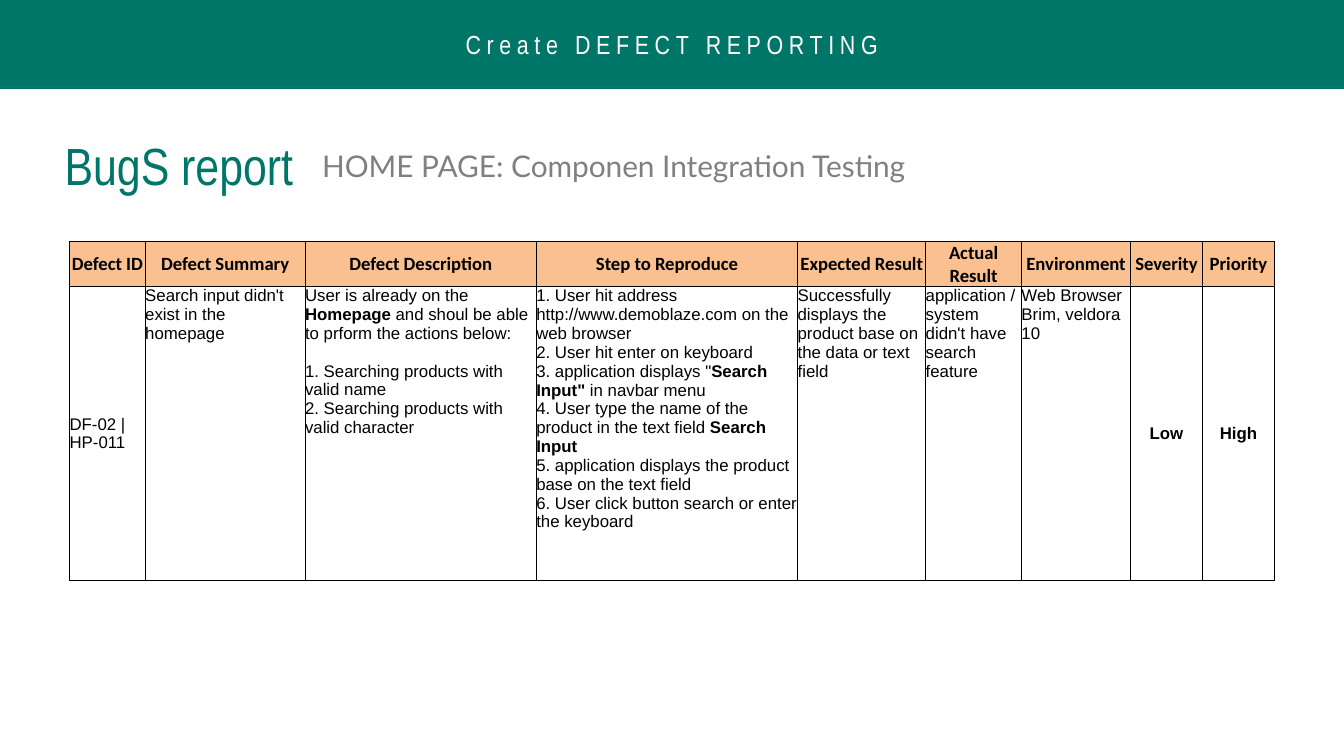
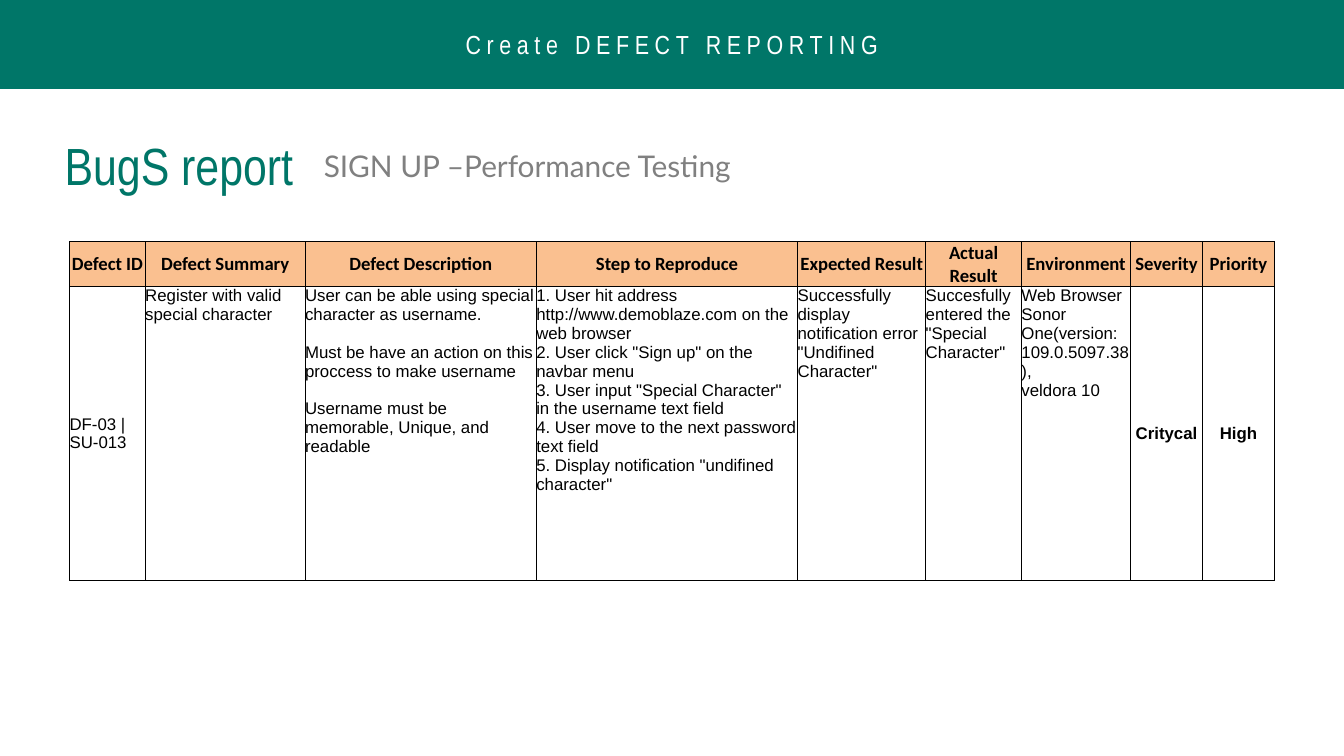
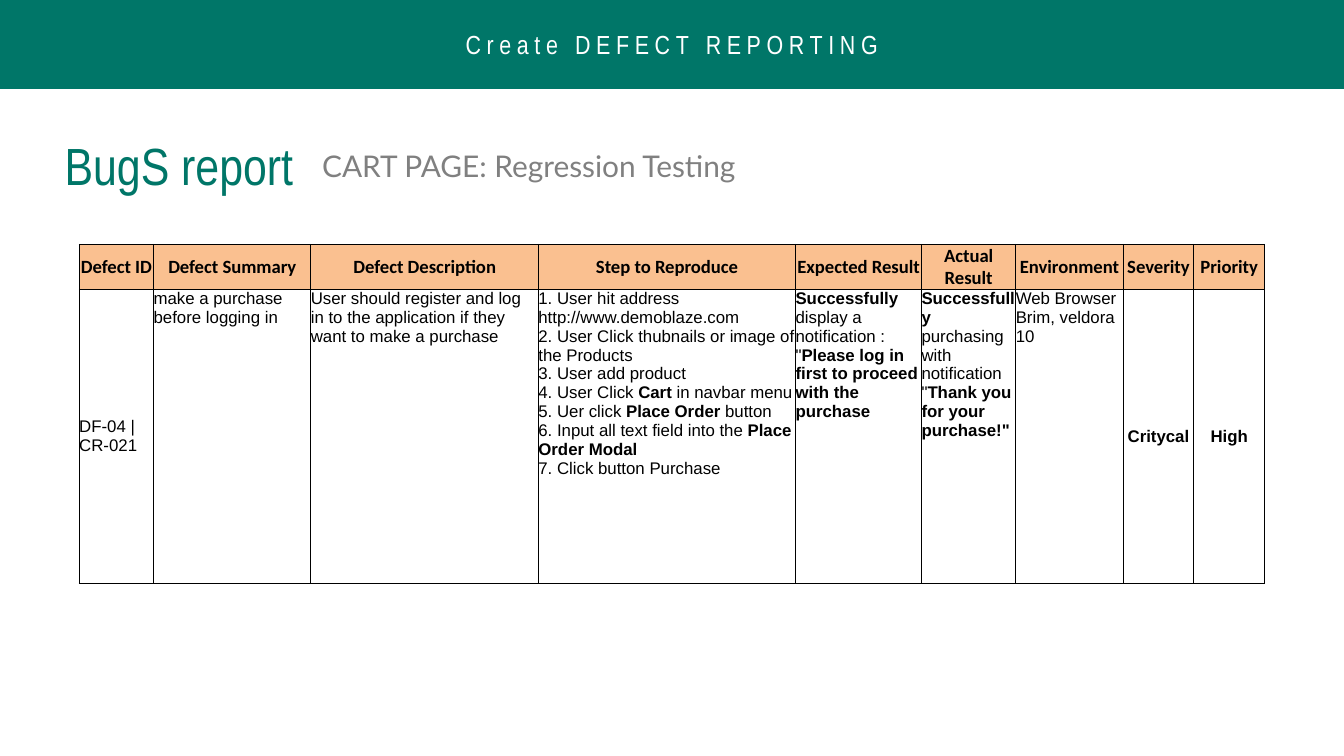
from dataclasses import dataclass

from lxml.etree import SubElement
from pptx import Presentation
from pptx.dml.color import RGBColor
from pptx.enum.shapes import MSO_SHAPE
from pptx.enum.text import MSO_ANCHOR as Anchor, MSO_AUTO_SIZE as AutoSize, PP_ALIGN as Align
from pptx.oxml.ns import qn
from pptx.util import Cm, Pt


@dataclass(frozen=True)
class Theme:
    green: str = "007668"
    peach: str = "FAC090"
    black: str = "000000"
    # Text styles: font, size in points, colour
    band: tuple = ("Arial Narrow", 14, "FFFFFF")
    title: tuple = ("Arial Narrow", 28, "007668")
    subtitle: tuple = ("Lato", 16, "808080")
    header: tuple = ("Calibri", 10, "000000")
    body: tuple = ("Arial", 9, "000000")
    band_spacing: int = 300
    paragraph_gap: int = 10
    border: float = 0.5
    inset: float = 0.25


theme = Theme()

SLIDE_WIDTH, SLIDE_HEIGHT = 25.4, 14.29
HEADERS = ["Defect ID", "Defect Summary", "Defect Description", "Step to Reproduce",
           "Expected Result", "Actual Result", "Environment", "Severity", "Priority"]
COLUMN_WIDTHS = [1.43, 3.02, 4.37, 4.94, 2.42, 1.81, 2.06, 1.36, 1.36]
ROW_HEIGHTS = [0.69, 5.56]
MIDDLE_COLUMNS = {"Defect ID", "Severity", "Priority"}
CENTRED_COLUMNS = {"Severity", "Priority"}

# Double asterisks enclose bold words; an empty line is a gap between paragraphs.
reports = [
    {
        "subtitle": "HOME PAGE: Componen Integration Testing",
        "subtitle_left": 5.84, "subtitle_width": 12.27,
        "table_top": 4.57, "table_scale": 1,
        "defect": [
            "DF-02 | HP-011",
            "Search input didn't exist in the homepage",
            "User is already on the **Homepage** and shoul be able to prform the actions below:\n\n"
            "1. Searching products with valid name\n"
            "2. Searching products with valid character",
            "1. User hit address http://www.demoblaze.com on the web browser\n"
            "2. User hit enter on keyboard\n"
            "3. application displays \"**Search Input\" **in navbar menu\n"
            "4. User type the name of the product in the text field **Search Input**\n"
            "5. application displays the product base on the text field\n"
            "6. User click button search or enter the keyboard",
            "Successfully displays the product base on the data or text field",
            "application / system didn't have search feature",
            "Web Browser Brim, veldora 10",
            "**Low**",
            "**High**",
        ],
    },
    {
        "subtitle": "SIGN UP –Performance Testing",
        "subtitle_left": 5.87, "subtitle_width": 12.12,
        "table_top": 4.57, "table_scale": 1,
        "defect": [
            "DF-03 | SU-013",
            "Register with valid special character",
            "User can be able using special character as username.\n\n"
            "Must be have an action on this proccess to make username\n\n"
            "Username must be memorable, Unique, and readable",
            "1. User hit address http://www.demoblaze.com on the web browser\n"
            "2. User click \"Sign up\" on the navbar menu\n"
            "3. User input \"Special Character\" in the username text field\n"
            "4. User move to the next password text field\n"
            "5. Display notification \"undifined character\"",
            "Successfully display notification error \"Undifined Character\"",
            "Succesfully entered the \"Special Character\"",
            "Web Browser Sonor One(version: 109.0.5097.38),\nveldora 10",
            "**Critycal**",
            "**High**",
        ],
    },
    {
        "subtitle": "CART PAGE: Regression Testing",
        "subtitle_left": 5.84, "subtitle_width": 10.01,
        "table_top": 4.62, "table_scale": 0.984,
        "defect": [
            "DF-04 | CR-021",
            "make a purchase before logging in",
            "User should register and log in to the application if they want to make a purchase",
            "1. User hit address http://www.demoblaze.com\n"
            "2. User Click thubnails or image of the Products\n"
            "3. User add product\n"
            "4. User Click **Cart **in navbar menu\n"
            "5. Uer click **Place Order **button\n"
            "6. Input all text field into the **Place Order Modal**\n"
            "7. Click button Purchase",
            "**Successfully **display a notification : \""
            "**Please log in first to proceed with the purchase**",
            "**Successfully** purchasing with notification \"**Thank you for your purchase!\"**",
            "Web Browser Brim, veldora 10",
            "**Critycal**",
            "**High**",
        ],
    },
]


def write_text(frame, text, style, align=Align.LEFT, inset=theme.inset):
    """Fill the frame with one paragraph per line, making the marked words bold."""
    font_name, size, color = style
    frame.word_wrap = True
    frame.margin_left = frame.margin_right = Cm(inset)
    frame.margin_top = frame.margin_bottom = Cm(inset)
    paragraph = None
    gap = 0
    for line in text.split("\n"):
        if not line:
            gap = theme.paragraph_gap
            continue
        paragraph = frame.add_paragraph() if paragraph else frame.paragraphs[0]
        paragraph.alignment = align
        if gap:
            paragraph.space_before = Pt(gap)
            gap = 0
        for index, words in enumerate(line.split("**")):
            if words:
                run = paragraph.add_run()
                run.text = words
                run.font.name = font_name
                run.font.size = Pt(size)
                run.font.color.rgb = RGBColor.from_string(color)
                run.font.bold = index % 2 == 1


def add_borders(cell):
    properties = cell._tc.get_or_add_tcPr()
    for side in ("lnL", "lnR", "lnT", "lnB"):
        line = SubElement(properties, qn(f"a:{side}"), w=str(Pt(theme.border)))
        fill = SubElement(line, qn("a:solidFill"))
        SubElement(fill, qn("a:srgbClr"), val=theme.black)


prs = Presentation()
prs.slide_width, prs.slide_height = Cm(SLIDE_WIDTH), Cm(SLIDE_HEIGHT)
title_only = prs.slide_layouts[5]

for report in reports:
    slide = prs.slides.add_slide(title_only)

    band = slide.shapes.add_shape(MSO_SHAPE.RECTANGLE, 0, 0, Cm(SLIDE_WIDTH), Cm(1.68))
    band.shadow.inherit = False
    band.fill.solid()
    band.fill.fore_color.rgb = RGBColor.from_string(theme.green)
    band.line.color.rgb = RGBColor.from_string(theme.green)
    band.line.width = Pt(0.75)
    band.text_frame.vertical_anchor = Anchor.MIDDLE
    write_text(band.text_frame, "Create DEFECT REPORTING", theme.band, Align.CENTER)
    band_run = band.text_frame.paragraphs[0].runs[0]
    band_run.font._element.set("spc", str(theme.band_spacing))

    title = slide.shapes.title
    title.left, title.top, title.width, title.height = Cm(0.97), Cm(2.26), Cm(4.9), Cm(1.7)
    subtitle = slide.shapes.add_textbox(
        Cm(report["subtitle_left"]), Cm(2.54), Cm(report["subtitle_width"]), Cm(1.19))
    for heading, text, style in ((title, "BugS report", theme.title),
                                 (subtitle, report["subtitle"], theme.subtitle)):
        write_text(heading.text_frame, text, style)
        heading.text_frame.vertical_anchor = Anchor.TOP
        heading.text_frame.auto_size = AutoSize.SHAPE_TO_FIT_TEXT

    widths = [width * report["table_scale"] for width in COLUMN_WIDTHS]
    table_left = (SLIDE_WIDTH - sum(widths)) / 2
    defects = slide.shapes.add_table(
        2, len(HEADERS), Cm(table_left), Cm(report["table_top"]),
        Cm(sum(widths)), Cm(sum(ROW_HEIGHTS))).table
    defects.horz_banding = False
    for row, height in zip(defects.rows, ROW_HEIGHTS):
        row.height = Cm(height)

    for number, (header, value) in enumerate(zip(HEADERS, report["defect"])):
        defects.columns[number].width = Cm(widths[number])

        header_cell = defects.cell(0, number)
        add_borders(header_cell)
        header_cell.fill.solid()
        header_cell.fill.fore_color.rgb = RGBColor.from_string(theme.peach)
        header_cell.vertical_anchor = Anchor.MIDDLE
        write_text(header_cell.text_frame, f"**{header}**", theme.header, Align.CENTER, 0)

        value_cell = defects.cell(1, number)
        add_borders(value_cell)
        value_cell.fill.background()
        value_cell.vertical_anchor = Anchor.MIDDLE if header in MIDDLE_COLUMNS else Anchor.TOP
        value_align = Align.CENTER if header in CENTRED_COLUMNS else Align.LEFT
        write_text(value_cell.text_frame, value, theme.body, value_align, 0)

        for cell in (header_cell, value_cell):
            cell.margin_left = cell.margin_right = cell.margin_top = cell.margin_bottom = 0

prs.save("out.pptx")
